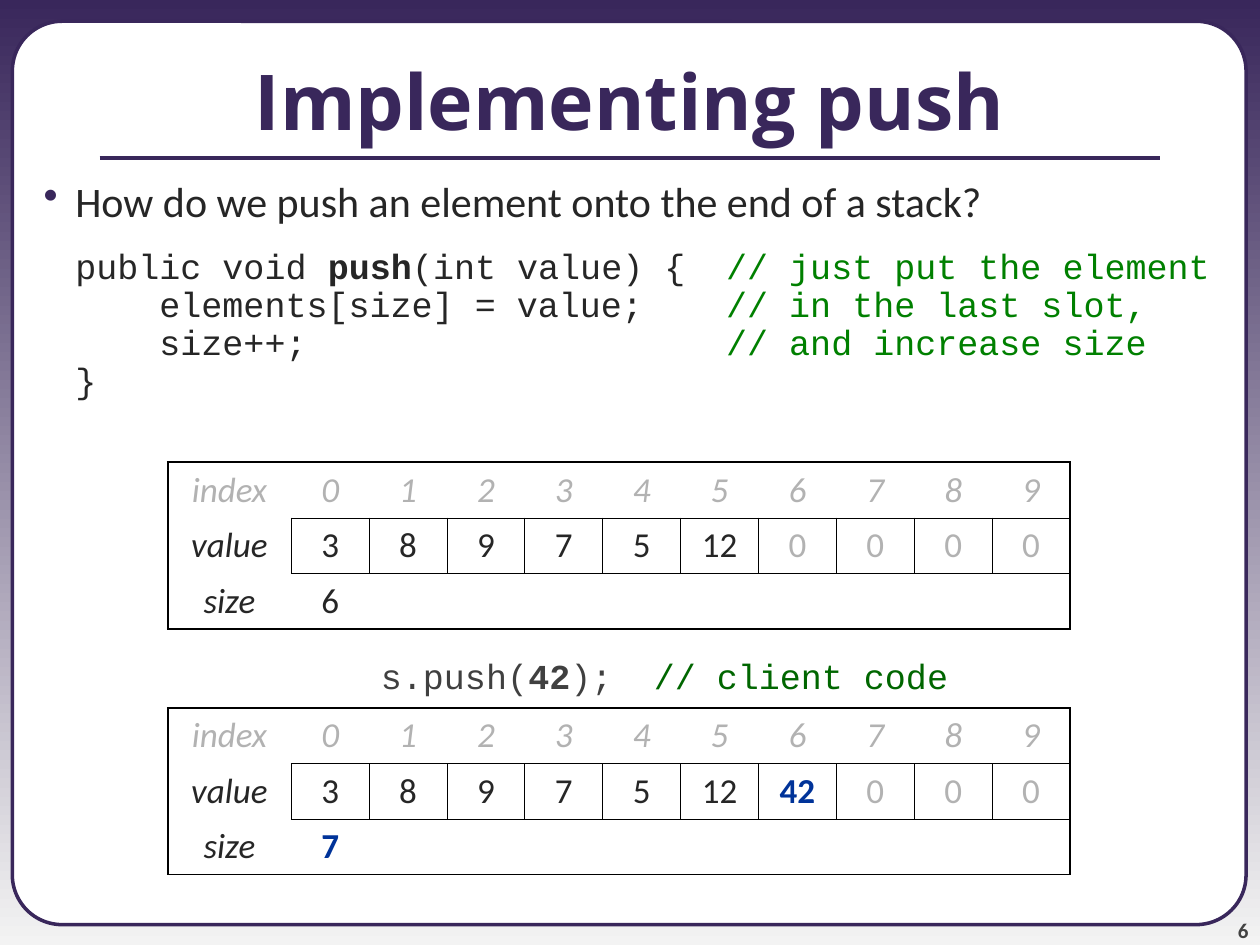
from dataclasses import dataclass

import lxml.etree
import pptx
import pptx.dml.color
import pptx.enum.shapes
import pptx.enum.text
import pptx.oxml
import pptx.oxml.ns
import pptx.util
from pptx.util import Cm

Align = pptx.enum.text.PP_ALIGN
Anchor = pptx.enum.text.MSO_ANCHOR


@dataclass(frozen=True)
class Theme:
    purple: str = "39275B"
    pale: str = "F3F3F3"
    white: str = "FFFFFF"
    black: str = "000000"
    ink: str = "262626"
    soft_ink: str = "404040"
    number: str = "424242"
    muted: str = "B2B2B2"
    accent: str = "003399"
    comment: str = "008000"
    client_comment: str = "006600"
    title_font: str = "Open Sans"
    body_font: str = "Calibri"
    code_font: str = "Courier New"
    title_size: int = 44
    body_size: int = 24
    code_size: int = 20
    number_size: int = 12
    thick: float = 1.08
    thin: float = 0.45


@dataclass(frozen=True)
class Span:
    text: str
    color: str
    bold: bool = False
    italic: bool = False


@dataclass(frozen=True)
class StackState:
    top: float
    values: tuple[int, ...]
    size: int
    pushed: bool


THEME = Theme()
CAPACITY = 10
LABEL_WIDTH, SLOT_WIDTH, ROW_HEIGHT = 2.49, 1.57, 1.12


def rgb(color: str) -> pptx.dml.color.RGBColor:
    return pptx.dml.color.RGBColor.from_string(color)


def add_child(parent, tag: str, **attributes: str):
    return lxml.etree.SubElement(parent, pptx.oxml.ns.qn(tag), **attributes)


def write(para, spans: list[Span], *, font: str, size: int, align=Align.LEFT) -> None:
    para.alignment = align
    for part in spans:
        span = para.add_run()
        span.text = part.text
        span.font.name = font
        span.font.size = pptx.util.Pt(size)
        span.font.bold = part.bold
        span.font.italic = part.italic
        span.font.color.rgb = rgb(part.color)


def add_text(page, place: tuple, lines: list[list[Span]], *, font: str, size: int,
             align=Align.LEFT, anchor=Anchor.TOP, inset: tuple = (0, 0), spacing: float = 1,
             gap: float = 0, tab: float = 0, bullet: str = "") -> None:
    box = page.shapes.add_textbox(*map(Cm, place))
    frame = box.text_frame
    frame.word_wrap = True
    frame.vertical_anchor = anchor
    frame.margin_left = frame.margin_right = Cm(inset[0])
    frame.margin_top = frame.margin_bottom = Cm(inset[1])
    for number, line in enumerate(lines):
        para = frame.add_paragraph() if number else frame.paragraphs[0]
        properties = para._p.get_or_add_pPr()
        if bullet:
            properties.set("marL", str(Cm(1.27)))
            properties.set("indent", str(-Cm(0.64)))
            bullet_color = add_child(properties, "a:buClr")
            add_child(bullet_color, "a:srgbClr", val=THEME.purple)
            add_child(properties, "a:buChar", char=bullet)
        if tab:
            tabs = add_child(properties, "a:tabLst")
            add_child(tabs, "a:tab", pos=str(Cm(tab)), algn="l")
        para.line_spacing = spacing
        para.space_before = pptx.util.Pt(gap if number else 0)
        write(para, line, font=font, size=size, align=align)


def set_border(cell, edges: dict[str, float]) -> None:
    properties = cell._tc.get_or_add_tcPr()
    for position, side in enumerate("LRTB"):
        width = edges.get(side, 0)
        line = pptx.oxml.parse_xml(f'<a:ln{side} {pptx.oxml.ns.nsdecls("a")}/>')
        line.set("w", str(pptx.util.Pt(width)))
        if width:
            add_child(add_child(line, "a:solidFill"), "a:srgbClr", val=THEME.black)
        else:
            add_child(line, "a:noFill")
        properties.insert(position, line)


def cell_edges(row: int, column: int) -> dict[str, float]:
    """Thick outer frame, thin boxes around the value slots."""
    slot = column > 0
    edges = {}
    if row == 1 and slot:
        edges = dict.fromkeys("LRTB", THEME.thin)
    elif row == 1:
        edges["R"] = THEME.thin
    elif slot:
        edges["B" if row == 0 else "T"] = THEME.thin
    if row == 0:
        edges["T"] = THEME.thick
    if row == 2:
        edges["B"] = THEME.thick
    if column == 0:
        edges["L"] = THEME.thick
    if column == CAPACITY:
        edges["R"] = THEME.thick
    return edges


def stack_rows(state: StackState) -> list[list[Span]]:
    indexes = [Span(str(index), THEME.muted, italic=True) for index in range(CAPACITY)]
    slots = [Span(str(value), THEME.ink) for value in state.values]
    size = Span(str(state.size), THEME.ink)
    if state.pushed:
        slots[-1] = Span(str(state.values[-1]), THEME.accent, bold=True)
        size = Span(str(state.size), THEME.accent, bold=True)
    slots += [Span("0", THEME.muted)] * (CAPACITY - len(slots))
    return [[Span("index", THEME.muted, italic=True), *indexes],
            [Span("value", THEME.ink, italic=True), *slots],
            [Span("size", THEME.ink, italic=True), size]]


def add_stack_table(page, state: StackState) -> None:
    width = LABEL_WIDTH + CAPACITY * SLOT_WIDTH
    holder = page.shapes.add_table(3, CAPACITY + 1, Cm(3.38), Cm(state.top),
                                   Cm(width), Cm(3 * ROW_HEIGHT))
    table = holder.table
    table.first_row = table.horz_banding = False
    for number, column in enumerate(table.columns):
        column.width = Cm(SLOT_WIDTH if number else LABEL_WIDTH)
    for row, spans in enumerate(stack_rows(state)):
        table.rows[row].height = Cm(ROW_HEIGHT)
        for column in range(CAPACITY + 1):
            cell = table.cell(row, column)
            cell.fill.background()
            set_border(cell, cell_edges(row, column))
            write(cell.text_frame.paragraphs[0], spans[column:column + 1],
                  font=THEME.body_font, size=THEME.code_size, align=Align.CENTER)


def add_frame(page) -> None:
    # Gradient background
    fill = page.background.fill
    fill.gradient()
    fill.gradient_angle = 270
    for stop, color in zip(fill.gradient_stops, (THEME.purple, THEME.pale)):
        stop.color.rgb = rgb(color)
    # White panel
    panel = page.shapes.add_shape(pptx.enum.shapes.MSO_SHAPE.ROUNDED_RECTANGLE,
                                  Cm(0.25), Cm(0.43), Cm(24.87), Cm(18.21))
    panel.adjustments[0] = 0.055
    panel.shadow.inherit = False
    panel.fill.solid()
    panel.fill.fore_color.rgb = rgb(THEME.white)
    panel.line.color.rgb = rgb(THEME.purple)
    panel.line.width = pptx.util.Pt(2)
    # Rule under the title
    rule = page.shapes.add_connector(pptx.enum.shapes.MSO_CONNECTOR.STRAIGHT,
                                     Cm(2.01), Cm(3.18), Cm(23.39), Cm(3.18))
    rule.line.color.rgb = rgb(THEME.purple)
    rule.line.width = pptx.util.Pt(2.25)
    add_child(rule._element.spPr, "a:effectLst")


def main() -> None:
    deck = pptx.Presentation()
    deck.slide_width, deck.slide_height = Cm(25.4), Cm(19.05)
    page = deck.slides.add_slide(deck.slide_layouts[6])
    add_frame(page)

    # Slide number, title and question
    add_text(page, (23.06, 17.98, 2.11, 1.02), [[Span("6", THEME.number, bold=True)]],
             font=THEME.body_font, size=THEME.number_size, align=Align.RIGHT,
             anchor=Anchor.BOTTOM)
    add_text(page, (0, 0.43, 25.4, 3.18), [[Span("Implementing push", THEME.purple, bold=True)]],
             font=THEME.title_font, size=THEME.title_size, align=Align.CENTER,
             anchor=Anchor.MIDDLE, inset=(0.25, 0.13))
    add_text(page, (0, 3.6, 25.4, 1.2),
             [[Span("How do we push an element onto the end of a stack?", THEME.ink)]],
             font=THEME.body_font, size=THEME.body_size, inset=(0.25, 0.13),
             spacing=0.8, bullet="•")

    # Method code, comments aligned on a tab stop
    method = [
        [Span("public void ", THEME.ink), Span("push", THEME.ink, bold=True),
         Span("(int value) {\t", THEME.ink), Span("// just put the element", THEME.comment)],
        [Span("    elements[size] = value;\t", THEME.ink),
         Span("// in the last slot,", THEME.comment)],
        [Span("    size++;\t", THEME.ink), Span("// and increase size", THEME.comment)],
        [Span("}", THEME.ink)],
    ]
    add_text(page, (1.52, 5.16, 23.6, 3.1), method, font=THEME.code_font,
             size=THEME.code_size, spacing=0.7, gap=5, tab=13.12)

    # Stack before and after the client call
    values = (3, 8, 9, 7, 5, 12)
    add_stack_table(page, StackState(9.32, values, 6, pushed=False))
    client = [Span("s.push(", THEME.soft_ink), Span("42", THEME.soft_ink, bold=True),
              Span(");\t", THEME.soft_ink), Span("// client code", THEME.client_comment)]
    add_text(page, (7.68, 13.36, 13, 0.8), [client], font=THEME.code_font,
             size=THEME.code_size, spacing=0.8, tab=5.5)
    add_stack_table(page, StackState(14.27, (*values, 42), 7, pushed=True))

    deck.save("out.pptx")


if __name__ == "__main__":
    main()
